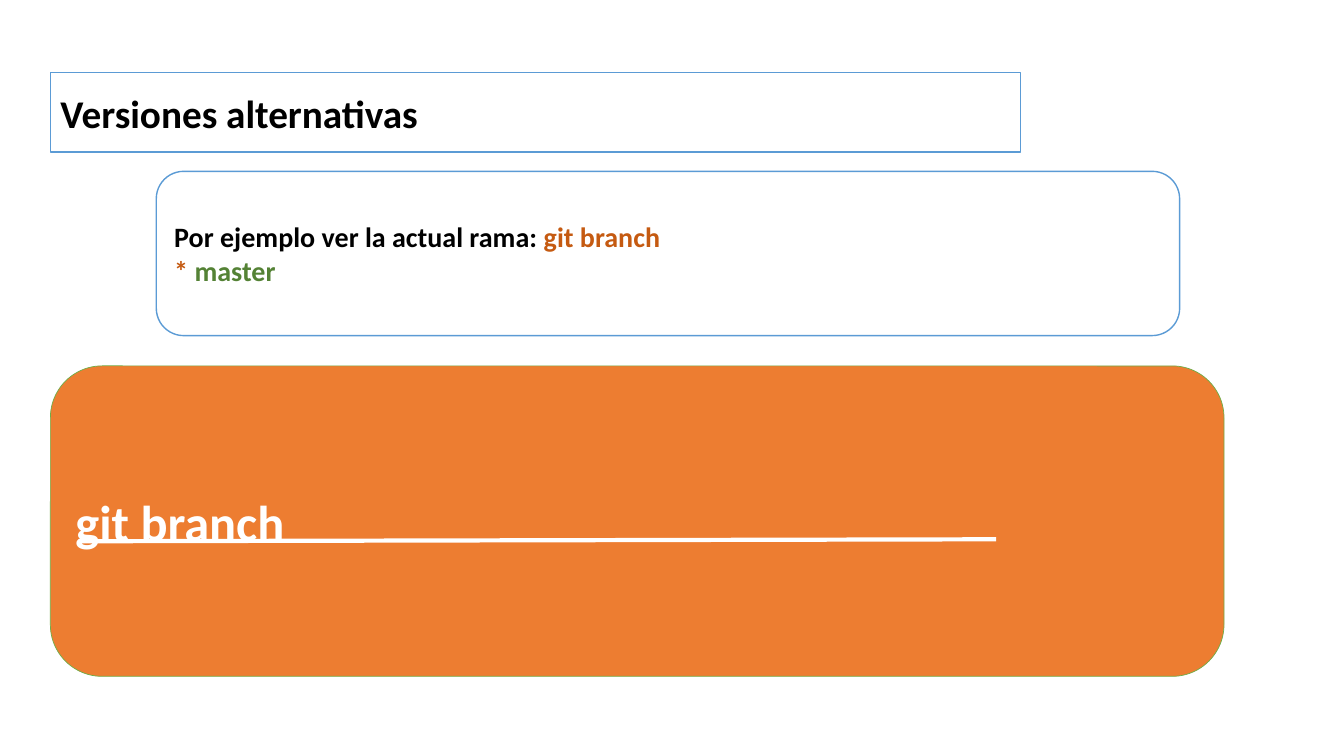
from dataclasses import dataclass

from lxml.etree import SubElement
from pptx import Presentation
from pptx.dml.color import RGBColor
from pptx.enum.shapes import MSO_CONNECTOR, MSO_SHAPE
from pptx.enum.text import MSO_ANCHOR, MSO_AUTO_SIZE, PP_ALIGN
from pptx.oxml.ns import qn
from pptx.shapes.autoshape import Shape
from pptx.slide import Slide
from pptx.util import Inches, Pt


@dataclass(frozen=True)
class Theme:
    """Colours, font and type sizes."""
    font: str = "Calibri"
    white: str = "FFFFFF"
    black: str = "000000"
    blue: str = "5B9BD5"
    orange: str = "ED7D31"
    rust: str = "C55A11"
    green: str = "70AD47"
    moss: str = "548235"
    head: int = 28
    body: int = 20
    large: int = 36


@dataclass(frozen=True)
class Box:
    """A rounded panel in grid units; each line holds (text, colour) runs."""
    col: float
    row: float
    cols: float
    rows: float
    fill: str
    edge: str
    width: float
    size: int
    lines: tuple[tuple[tuple[str, str], ...], ...]


THEME = Theme()
CELL = Inches(1 / 6)  # the slide is 80 columns by 45 rows

TITLE = Box(3, 4.32, 57.72, 4.74, THEME.white, THEME.blue, 1, THEME.head,
            ((("Versiones alternativas", THEME.black),),))
BOXES = (
    Box(3, 21.78, 69.84, 18.48, THEME.orange, THEME.green, 0.5, THEME.large,
        ((("git branch", THEME.white),),)),
    Box(9.3, 10.2, 60.9, 9.78, THEME.white, THEME.blue, 1, THEME.body,
        ((("Por ejemplo ver la actual rama: ", THEME.black),
          ("git branch", THEME.rust)),
         (("* ", THEME.rust), ("master", THEME.moss)))),
)
RULE = (4.68, 32.22, 59.28, 32.1)


def grid(*units: float) -> list[int]:
    """Turn grid units into lengths."""
    return [round(unit * CELL) for unit in units]


def apply(item: object, form: dict[str, object]) -> None:
    """Set each format value on an item."""
    for name, value in form.items():
        setattr(item, name, value)


def write(shape: Shape, box: Box) -> None:
    """Fill a shape with the coloured runs of its box."""
    frame = shape.text_frame
    apply(frame, {"word_wrap": True, "auto_size": MSO_AUTO_SIZE.NONE,
                  "vertical_anchor": MSO_ANCHOR.MIDDLE})
    for index, line in enumerate(box.lines):
        para = frame.add_paragraph() if index else frame.paragraphs[0]
        apply(para, {"alignment": PP_ALIGN.LEFT, "line_spacing": 1.0})
        for text, tint in line:
            run = para.add_run()
            run.text = text
            apply(run.font, {"name": THEME.font, "size": Pt(box.size),
                             "bold": True})
            run.font.color.rgb = RGBColor.from_string(tint)


def style(shape: Shape, box: Box) -> None:
    """Paint a panel and write its text."""
    shape.shadow.inherit = False
    shape.fill.solid()
    shape.fill.fore_color.rgb = RGBColor.from_string(box.fill)
    shape.line.color.rgb = RGBColor.from_string(box.edge)
    shape.line.width = Pt(box.width)
    write(shape, box)


def head(slide: Slide, box: Box) -> None:
    """Move the title and give it rounded corners."""
    title = slide.shapes.title
    sides = ("left", "top", "width", "height")
    apply(title, dict(zip(sides, grid(box.col, box.row, box.cols, box.rows))))
    form = SubElement(title.element.spPr, qn("a:prstGeom"), prst="roundRect")
    SubElement(form, qn("a:avLst"))
    style(title, box)


def panel(slide: Slide, box: Box) -> None:
    """Add a rounded panel."""
    place = grid(box.col, box.row, box.cols, box.rows)
    style(slide.shapes.add_shape(MSO_SHAPE.ROUNDED_RECTANGLE, *place), box)


def rule(slide: Slide) -> None:
    """Add the white line beneath the command."""
    line = slide.shapes.add_connector(MSO_CONNECTOR.STRAIGHT, *grid(*RULE))
    line.line.color.rgb = RGBColor.from_string(THEME.white)
    line.line.width = Pt(3)
    SubElement(line.element.spPr, qn("a:effectLst"))


def main() -> None:
    """Build and save the slide."""
    deck = Presentation()
    apply(deck, {"slide_width": Inches(13.33), "slide_height": Inches(7.5)})
    slide = deck.slides.add_slide(deck.slide_layouts[5])
    head(slide, TITLE)
    for box in BOXES:
        panel(slide, box)
    rule(slide)
    deck.save("out.pptx")


main()
